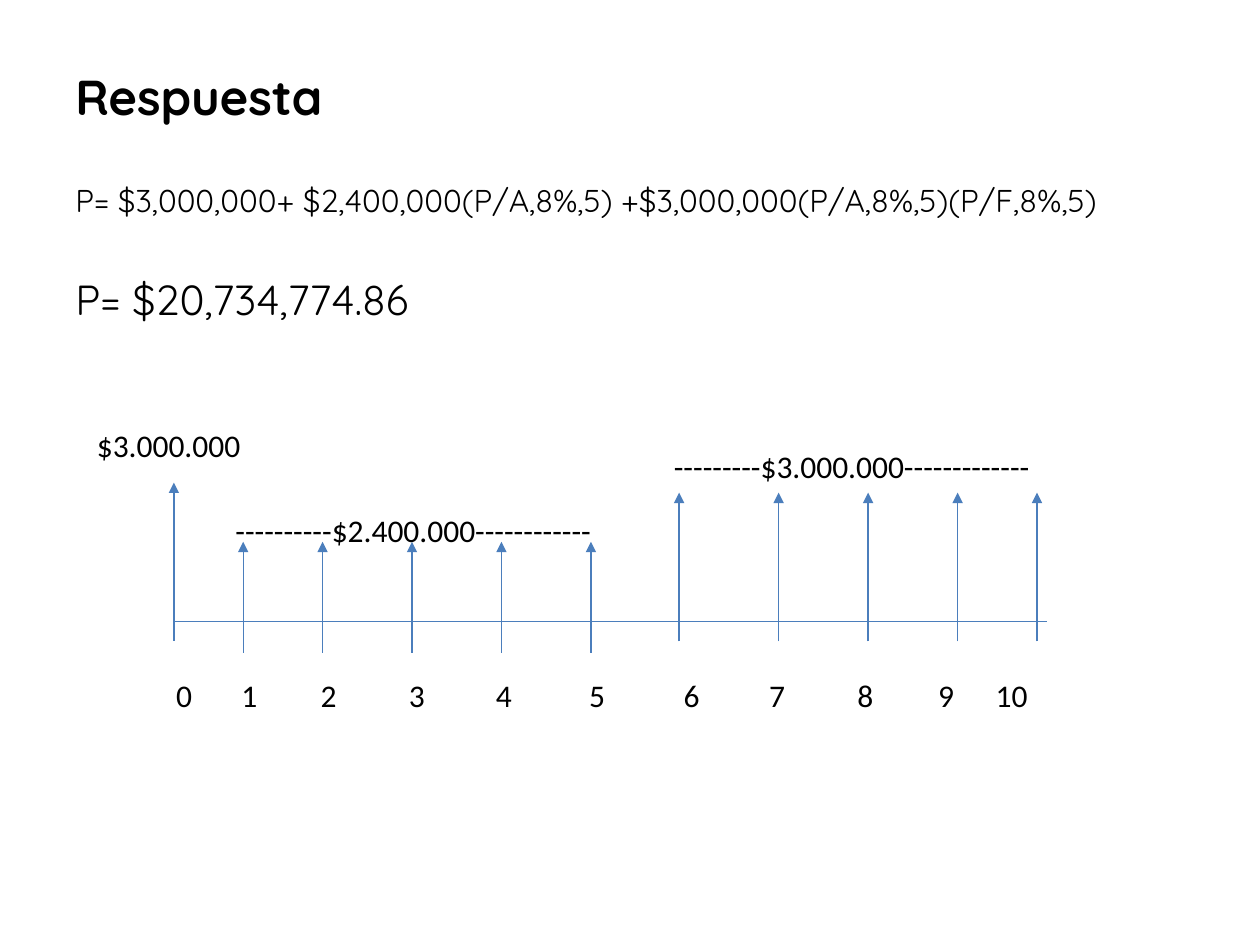
from lxml import etree
from pptx import Presentation
from pptx.dml.color import RGBColor
from pptx.enum.shapes import MSO_CONNECTOR as CONN
from pptx.enum.text import MSO_ANCHOR as ANCHOR
from pptx.oxml.ns import qn
from pptx.util import Inches, Pt

BLACK = RGBColor(0, 0, 0)
BLUE = RGBColor(0x4B, 0x7E, 0xBC)

# Content
TITLE = "Respuesta"
FORMULAS = [("P= $3,000,000+ $2,400,000(P/A,8%,5) +$3,000,000(P/A,8%,5)(P/F,8%,5)", 18),
            ("P= $20,734,774.86", 24)]
# Amount labels: text, left, top, width
AMOUNTS = [("-" * 10 + "$2.400.000" + "-" * 12, 1.77, 4.01, 3.07),
           ("-" * 9 + "$3.000.000" + "-" * 13, 5.25, 3.5, 3.07),
           ("$3.000.000", 0.67, 3.33, 3.31)]
# Cash flow diagram: position of each year on the axis
YEAR_X = [1.38, 1.93, 2.56, 3.27, 3.98, 4.69, 5.39, 6.18, 6.89, 7.6, 8.23]
AXIS_Y, AXIS_END, TICK = 4.93, 8.31, 0.16
# Arrows: years, bottom, top
FLOWS = [(range(0, 1), 5.01, 3.83), (range(1, 6), 5.18, 4.3), (range(6, 11), 5.09, 3.91)]
# Year labels: first one at the left edge, the others centred on tab stops
LABEL_TABS = [0.58, 1.21, 1.91, 2.6, 3.34, 4.09, 4.77, 5.47, 6.11, 6.63]

prs = Presentation()
prs.slide_width, prs.slide_height = Inches(10), Inches(7.5)
s = prs.slides.add_slide(prs.slide_layouts[6])


def add_text(lines, x, y, w, h, font="Calibri", bold=False, anchor=ANCHOR.TOP, gap=0):
    """Add a text box with one paragraph per (text, size) pair."""
    tf = s.shapes.add_textbox(Inches(x), Inches(y), Inches(w), Inches(h)).text_frame
    tf.word_wrap, tf.vertical_anchor = True, anchor
    for i, (text, size) in enumerate(lines):
        p = tf.add_paragraph() if i else tf.paragraphs[0]
        p.space_before = Pt(gap if i else 0)
        r = p.add_run()
        r.text = text
        r.font.name, r.font.size, r.font.bold = font, Pt(size), bold
        r.font.color.rgb = BLACK
    return tf


def add_line(x1, y1, x2, y2, arrow=False):
    c = s.shapes.add_connector(CONN.STRAIGHT, Inches(x1), Inches(y1), Inches(x2), Inches(y2))
    c.line.color.rgb, c.line.width = BLUE, Pt(0.75)
    if arrow:
        etree.SubElement(c.line._get_or_add_ln(), qn("a:tailEnd"), type="triangle")
    etree.SubElement(c._element.spPr, qn("a:effectLst"))


# Title and formulas
add_text([(TITLE, 28)], 0.5, 0.3, 7.89, 0.93, font="Quicksand", bold=True, anchor=ANCHOR.MIDDLE)
add_text(FORMULAS, 0.5, 1.39, 9, 5.31, font="Quicksand", gap=31)

# Axis, ticks and arrows
add_line(YEAR_X[0], AXIS_Y, AXIS_END, AXIS_Y)
for x in YEAR_X:
    add_line(x, AXIS_Y - TICK, x, AXIS_Y + TICK)
for years, bottom, top in FLOWS:
    for year in years:
        add_line(YEAR_X[year], bottom, YEAR_X[year], top, arrow=True)

# Year labels
tf = add_text([("\t".join(str(n) for n in range(len(YEAR_X))), 18)], 1.3, 5.32, 7.48, 0.4)
tabs = etree.SubElement(tf.paragraphs[0]._p.get_or_add_pPr(), qn("a:tabLst"))
for pos in LABEL_TABS:
    etree.SubElement(tabs, qn("a:tab"), pos=str(Inches(pos)), algn="ctr")

# Amount labels
for text, x, y, w in AMOUNTS:
    add_text([(text, 18)], x, y, w, 0.4)

prs.save("out.pptx")
